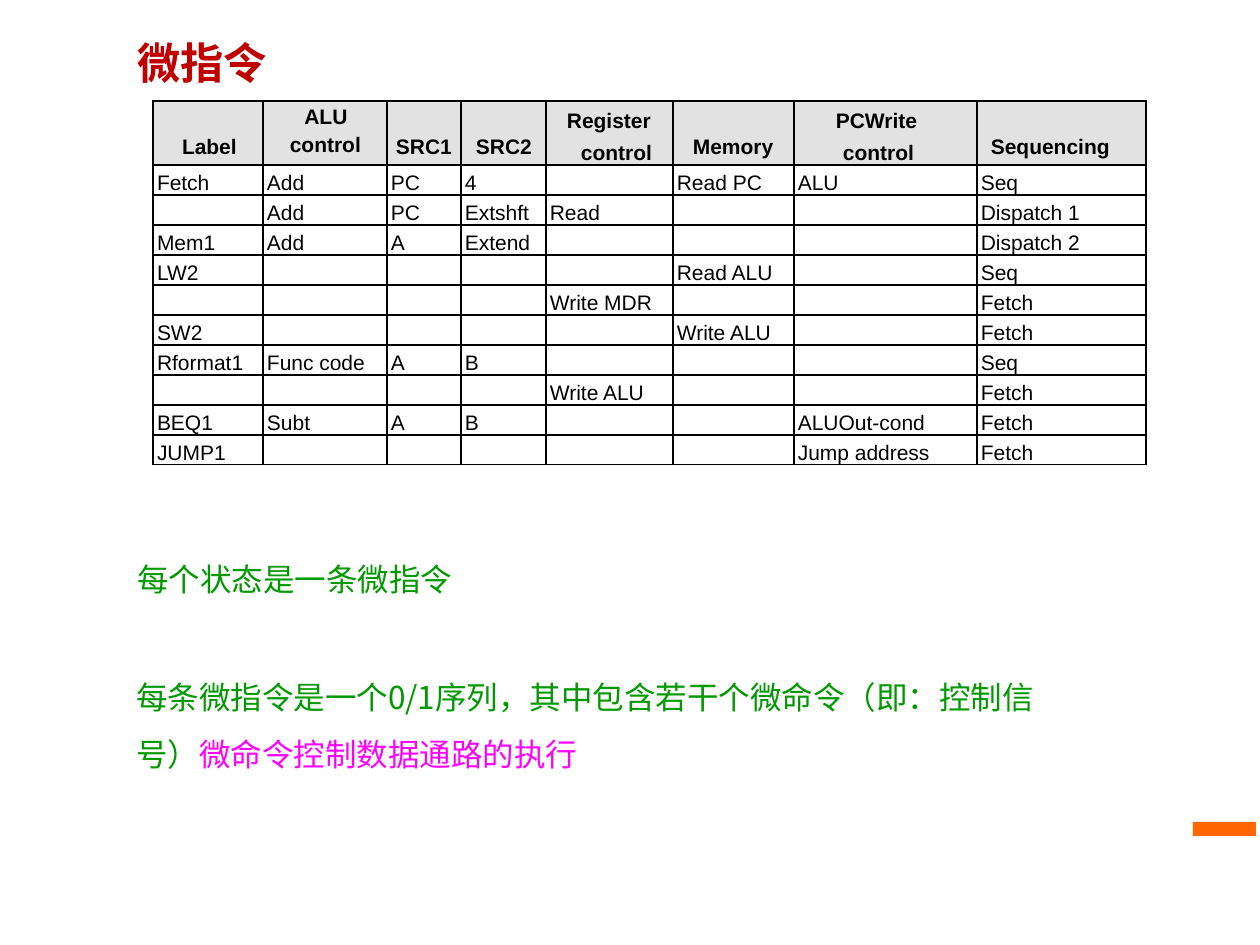
from dataclasses import dataclass

from lxml.etree import SubElement
from pptx import Presentation
from pptx.dml.color import RGBColor
from pptx.enum.shapes import MSO_SHAPE
from pptx.enum.text import MSO_ANCHOR, MSO_AUTO_SIZE, PP_ALIGN
from pptx.oxml.ns import qn
from pptx.util import Emu, Pt


@dataclass(frozen=True)
class Theme:
    title: str = "C00000"
    body: str = "009900"
    emphasis: str = "FF00FF"
    accent: str = "FF6600"
    ink: str = "000000"
    header: str = "E2E2E2"
    title_size: float = 24.7
    body_size: float = 18
    table_size: float = 12
    empty_size: float = 10
    text_font: str = "Noto Sans CJK SC"
    table_font: str = "Arial"


THEME = Theme()
EMU_PER_PX = 914400 / 126
COLUMN_WIDTHS = [110, 124, 74, 85, 127, 121, 183, 169]
HEADER_HEIGHT, ROW_HEIGHT = 64, 30
TABLE_LINE = Pt(14.8)
WRAPPED_LINE = Pt(18.2)

BOTTOM_HEADERS = {
    0: ("Label", 29),
    2: ("SRC1", 9),
    3: ("SRC2", 15),
    5: ("Memory", 20),
    7: ("Sequencing", 14),
}
WRAPPED_HEADERS = {
    4: ("Register control", 35, -14),
    6: ("PCWrite control", 49, -7),
}
MICROPROGRAM = [
    ["Fetch", "Add", "PC", "4", "", "Read PC", "ALU", "Seq"],
    ["", "Add", "PC", "Extshft", "Read", "", "", "Dispatch 1"],
    ["Mem1", "Add", "A", "Extend", "", "", "", "Dispatch 2"],
    ["LW2", "", "", "", "", "Read ALU", "", "Seq"],
    ["", "", "", "", "Write MDR", "", "", "Fetch"],
    ["SW2", "", "", "", "", "Write ALU", "", "Fetch"],
    ["Rformat1", "Func code", "A", "B", "", "", "", "Seq"],
    ["", "", "", "", "Write ALU", "", "", "Fetch"],
    ["BEQ1", "Subt", "A", "B", "", "", "ALUOut-cond", "Fetch"],
    ["JUMP1", "", "", "", "", "", "Jump address", "Fetch"],
]


def px(value):
    return Emu(round(value * EMU_PER_PX))


def color(value):
    return RGBColor.from_string(value)


def add_run(paragraph, text, font, size, text_color, bold=False):
    run = paragraph.add_run()
    run.text = text
    run.font.name = font
    run.font.size = Pt(size)
    run.font.bold = bold
    run.font.color.rgb = color(text_color)
    SubElement(run.font._element, qn("a:ea"), typeface=font)


def set_indent(paragraph, left, first=0):
    properties = paragraph._p.get_or_add_pPr()
    properties.set("marL", str(px(left)))
    properties.set("indent", str(px(first)))
    return properties


def place(shape, left, top, width, height):
    shape.left, shape.top = px(left), px(top)
    shape.width, shape.height = px(width), px(height)


def set_insets(target, top=0, bottom=0):
    target.margin_left = target.margin_right = 0
    target.margin_top, target.margin_bottom = px(top), px(bottom)


def prepare_frame(shape, top):
    frame = shape.text_frame
    frame.word_wrap = True
    frame.auto_size = MSO_AUTO_SIZE.SHAPE_TO_FIT_TEXT
    set_insets(frame, top)
    return frame


def fill_title(shape):
    place(shape, 136, 34, 481, 54)
    frame = prepare_frame(shape, 2)
    frame.vertical_anchor = MSO_ANCHOR.MIDDLE
    paragraph = frame.paragraphs[0]
    set_indent(paragraph, 1)
    paragraph.alignment = PP_ALIGN.LEFT
    add_run(paragraph, "微指令", THEME.text_font, THEME.title_size, THEME.title, True)


def fill_body(shape):
    place(shape, 136, 532, 954, 239)
    frame = prepare_frame(shape, 9)
    frame.vertical_anchor = MSO_ANCHOR.TOP
    statements = [
        [("每个状态是一条微指令", THEME.body)],
        [
            ("每条微指令是一个0/1序列，其中包含若干个微命令（即：控制信号）", THEME.body),
            ("微命令控制数据通路的执行", THEME.emphasis),
        ],
    ]
    for index, parts in enumerate(statements):
        paragraph = frame.add_paragraph() if index else frame.paragraphs[0]
        SubElement(set_indent(paragraph, 0 if index else 1), qn("a:buNone"))
        paragraph.alignment = PP_ALIGN.LEFT
        paragraph.line_spacing = Pt(32.5)
        paragraph.space_before = Pt(35 if index else 0)
        for text, text_color in parts:
            add_run(paragraph, text, THEME.text_font, THEME.body_size, text_color)


def set_borders(cell, row, column):
    widths = {
        "L": 1.5 if column else 1,
        "R": 1.5,
        "T": 1.5 if row else 0.75,
        "B": 1.5 if row < len(MICROPROGRAM) else 1,
    }
    properties = cell._tc.get_or_add_tcPr()
    for side, width in widths.items():
        line = SubElement(properties, qn(f"a:ln{side}"), w=str(Pt(width)))
        fill = SubElement(line, qn("a:solidFill"))
        SubElement(fill, qn("a:srgbClr"), val=THEME.ink)


def write_cell(paragraph, text, left=0, first=0, spacing=TABLE_LINE, bold=False):
    set_indent(paragraph, left, first)
    paragraph.line_spacing = spacing
    add_run(paragraph, text, THEME.table_font, THEME.table_size, THEME.ink, bold)


def fill_header(cell, column):
    paragraph = cell.text_frame.paragraphs[0]
    if column in BOTTOM_HEADERS:
        set_insets(cell, bottom=6)
        cell.vertical_anchor = MSO_ANCHOR.BOTTOM
        text, left = BOTTOM_HEADERS[column]
        write_cell(paragraph, text, left, bold=True)
    elif column in WRAPPED_HEADERS:
        set_insets(cell)
        text, left, first = WRAPPED_HEADERS[column]
        write_cell(paragraph, text, left, first, WRAPPED_LINE, True)
    else:
        set_insets(cell, top=4)
        write_cell(paragraph, "ALU", 2, spacing=1.0, bold=True)
        second = cell.text_frame.add_paragraph()
        write_cell(second, "control", 1, bold=True)
        second.space_before = Pt(1.4)
        paragraph.alignment = second.alignment = PP_ALIGN.CENTER


def fill_field(cell, text):
    paragraph = cell.text_frame.paragraphs[0]
    if text:
        set_insets(cell, top=4)
        write_cell(paragraph, text, 4)
    else:
        set_insets(cell)
        size = str(round(THEME.empty_size * 100))
        SubElement(paragraph._p, qn("a:endParaRPr"), sz=size)


def add_microprogram_table(slide):
    row_count = len(MICROPROGRAM) + 1
    height = HEADER_HEIGHT + ROW_HEIGHT * len(MICROPROGRAM)
    table = slide.shapes.add_table(
        row_count, len(COLUMN_WIDTHS), px(153), px(101), px(sum(COLUMN_WIDTHS)), px(height)
    ).table
    table.first_row = table.horz_banding = False
    for column, width in enumerate(COLUMN_WIDTHS):
        table.columns[column].width = px(width)
    for row in range(row_count):
        table.rows[row].height = px(ROW_HEIGHT if row else HEADER_HEIGHT)
        for column in range(len(COLUMN_WIDTHS)):
            cell = table.cell(row, column)
            set_borders(cell, row, column)
            if row:
                cell.fill.background()
                fill_field(cell, MICROPROGRAM[row - 1][column])
            else:
                cell.fill.solid()
                cell.fill.fore_color.rgb = color(THEME.header)
                fill_header(cell, column)


def add_accent_bar(slide):
    shape = slide.shapes.add_shape(MSO_SHAPE.RECTANGLE, px(1193), px(822), px(63), px(14))
    shape.shadow.inherit = False
    shape.fill.solid()
    shape.fill.fore_color.rgb = color(THEME.accent)
    shape.line.fill.background()


def main():
    presentation = Presentation()
    presentation.slide_width, presentation.slide_height = px(1260), px(945)
    slide = presentation.slides.add_slide(presentation.slide_layouts[1])
    add_accent_bar(slide)
    fill_title(slide.shapes.title)
    fill_body(slide.placeholders[1])
    add_microprogram_table(slide)
    presentation.save("out.pptx")


if __name__ == "__main__":
    main()
